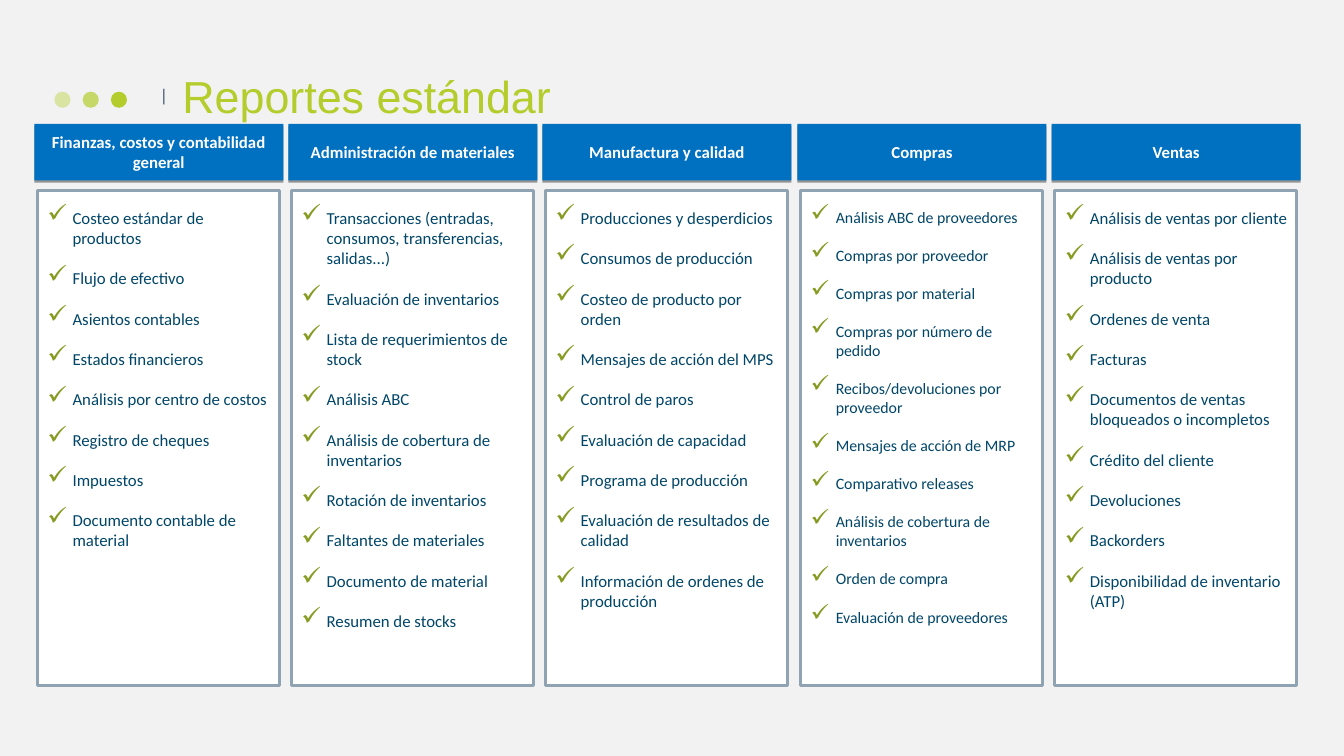
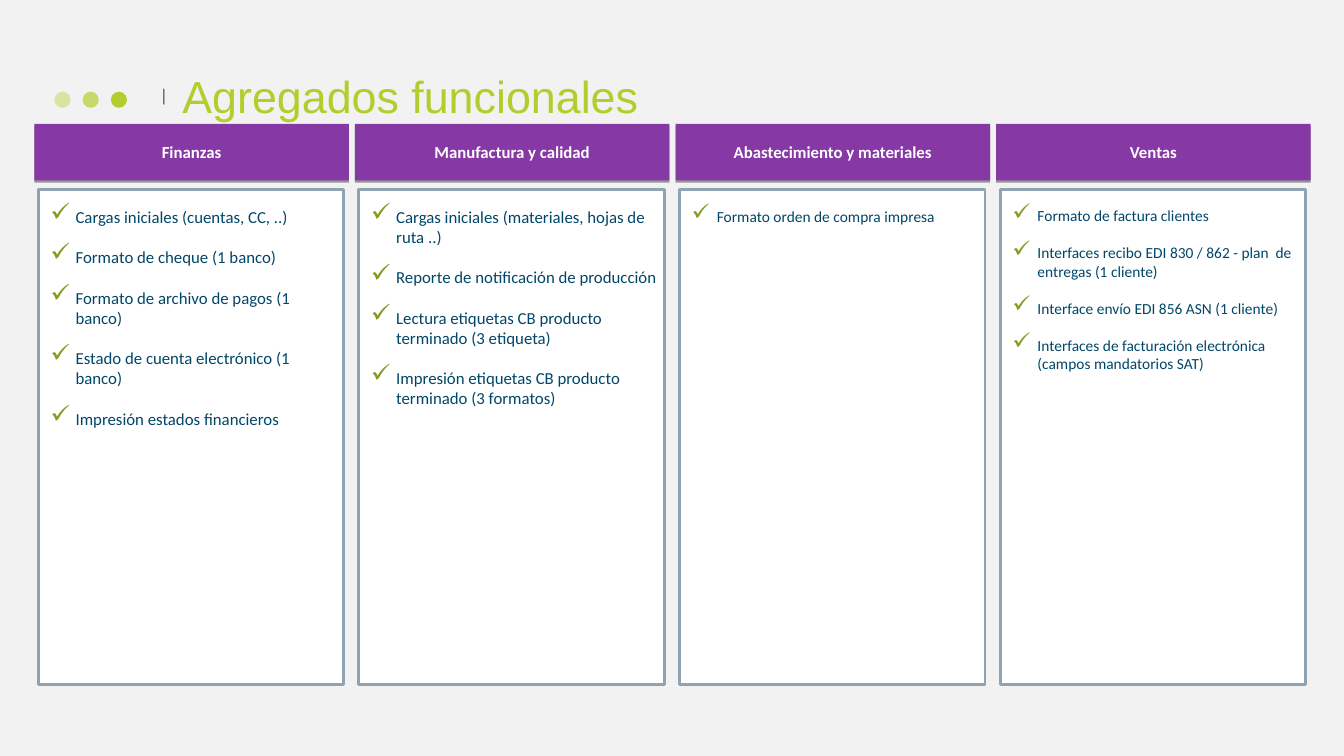
import dataclasses

import lxml.etree
import pptx
import pptx.dml.color
import pptx.enum.shapes
import pptx.enum.text
import pptx.oxml.ns
import pptx.util

ALIGN = pptx.enum.text.PP_ALIGN
ANCHOR = pptx.enum.text.MSO_ANCHOR
FIT = pptx.enum.text.MSO_AUTO_SIZE
SHAPE = pptx.enum.shapes.MSO_SHAPE
PX = 9144  # 100 px to the inch


@dataclasses.dataclass(frozen=True)
class Theme:
    back: str = "F2F2F2"
    lime: str = "B4CD2C"
    olive: str = "879A21"
    slate: str = "506576"
    edge: str = "8FA3B3"
    navy: str = "004669"
    white: str = "FFFFFF"
    blue: str = "0070C0"
    purple: str = "8639A5"
    head: str = "Arial"
    body: str = "Calibri"
    mark: str = "Roboto"
    title: float = 32
    bar: float = 13.3
    text: float = 12
    small: float = 11.3
    tiny: float = 11


THEME = Theme()


@dataclasses.dataclass(frozen=True)
class Column:
    title: str
    size: float
    height: int
    items: tuple


@dataclasses.dataclass(frozen=True)
class Page:
    """One slide: its columns, and the measures of their grid in px."""
    title: str
    color: str
    right: int
    width: int
    panel: int
    list: int
    top: int
    columns: tuple


REPORTS = Page("Reportes estándar", THEME.blue, 1290, 247, 240, 230, 189, (
    Column("Finanzas, costos y contabilidad general", THEME.text, 343, (
        "Costeo estándar de productos",
        "Flujo de efectivo",
        "Asientos contables",
        "Estados financieros",
        "Análisis por centro de costos",
        "Registro de cheques",
        "Impuestos",
        "Documento contable de material")),
    Column("Administración de materiales", THEME.text, 444, (
        "Transacciones (entradas, consumos, transferencias, salidas...)",
        "Evaluación de inventarios",
        "Lista de requerimientos de stock",
        "Análisis ABC",
        "Análisis de cobertura de inventarios",
        "Rotación de inventarios",
        "Faltantes de materiales",
        "Documento de material",
        "Resumen de stocks")),
    Column("Manufactura y calidad", THEME.text, 404, (
        "Producciones y desperdicios",
        "Consumos de producción",
        "Costeo de producto por orden",
        "Mensajes de acción del MPS",
        "Control de paros",
        "Evaluación de capacidad",
        "Programa de producción",
        "Evaluación de resultados de calidad",
        "Información de ordenes de producción")),
    Column("Compras", THEME.small, 419, (
        "Análisis ABC de proveedores",
        "Compras por proveedor",
        "Compras por material",
        "Compras por número de pedido",
        "Recibos/devoluciones por proveedor",
        "Mensajes de acción de MRP",
        "Comparativo releases",
        "Análisis de cobertura de inventarios",
        "Orden de compra",
        "Evaluación de proveedores")),
    Column("Ventas", THEME.text, 404, (
        "Análisis de ventas por cliente",
        "Análisis de ventas por producto",
        "Ordenes de venta",
        "Facturas",
        "Documentos de ventas bloqueados o incompletos",
        "Crédito del cliente",
        "Devoluciones",
        "Backorders",
        "Disponibilidad de inventario (ATP)")),
))

EXTRAS = Page("Agregados funcionales", THEME.purple, 1300, 312, 303, 290, 188, (
    Column("Finanzas", THEME.text, 222, (
        "Cargas iniciales (cuentas, CC, ..)",
        "Formato de cheque (1 banco)",
        "Formato de archivo de pagos (1 banco)",
        "Estado de cuenta electrónico (1 banco)",
        "Impresión estados financieros")),
    Column("Manufactura y calidad", THEME.text, 222, (
        "Cargas iniciales (materiales, hojas de ruta ..)",
        "Reporte de notificación de producción",
        "Lectura etiquetas CB producto terminado (3 etiqueta)",
        "Impresión etiquetas CB producto terminado (3 formatos)")),
    Column("Abastecimiento y materiales", THEME.tiny, 19, (
        "Formato orden de compra impresa",)),
    Column("Ventas", THEME.tiny, 167, (
        "Formato de factura clientes",
        "Interfaces recibo EDI 830 / 862 - plan  de entregas (1 cliente)",
        "Interface envío EDI 856 ASN (1 cliente)",
        "Interfaces de facturación electrónica (campos mandatorios SAT)")),
))


def rgb(color):
    return pptx.dml.color.RGBColor.from_string(color)


def node(parent, tag, **attrs):
    """Append a drawing element such as a:buChar and return it."""
    item = lxml.etree.SubElement(parent, pptx.oxml.ns.qn(tag))
    for key, value in attrs.items():
        item.set(key, str(value))
    return item


def style(frame, font, size, color, bold=False):
    for para in frame.paragraphs:
        for run in para.runs:
            run.font.name = font
            run.font.size = pptx.util.Pt(size)
            run.font.bold = bold
            run.font.color.rgb = rgb(color)


def inset(frame, left, top, right, bottom):
    frame.margin_left, frame.margin_top = left * PX, top * PX
    frame.margin_right, frame.margin_bottom = right * PX, bottom * PX


def add_form(slide, kind, box, fill):
    form = slide.shapes.add_shape(kind, *(n * PX for n in box))
    form.shadow.inherit = False
    form.fill.solid()
    form.fill.fore_color.rgb = rgb(fill)
    form.line.fill.background()
    return form


def add_text(slide, box, text):
    frame = slide.shapes.add_textbox(*(n * PX for n in box)).text_frame
    frame.word_wrap = True
    frame.text = text
    return frame


def add_dot(slide, left, alpha):
    dot = add_form(slide, SHAPE.OVAL, (left, 91, 16, 16), THEME.lime)
    if alpha < 100:
        color = dot.fill._xPr.find(".//" + pptx.oxml.ns.qn("a:srgbClr"))
        node(color, "a:alpha", val=alpha * 1000)


def add_title(slide, text):
    """Draw the three dots, the bar and the slide title."""
    for i, alpha in enumerate((40, 70, 100)):
        add_dot(slide, 54 + 28 * i, alpha)
    bar = add_text(slide, (156, 88, 13, 16), "|")
    inset(bar, 0, 5, 0, 0)
    bar.paragraphs[0].line_spacing = 0.5
    bar.paragraphs[0].alignment = ALIGN.CENTER
    style(bar, THEME.mark, THEME.bar, THEME.slate)
    title = add_text(slide, (171, 33, 1049, 93), text)
    title.vertical_anchor = ANCHOR.BOTTOM
    style(title, THEME.head, THEME.title, THEME.lime)


def add_head(slide, box, text, fill):
    head = add_form(slide, SHAPE.RECTANGLE, box, fill)
    props = head._element.spPr
    effects = props.find(pptx.oxml.ns.qn("a:effectLst"))
    shade = node(effects, "a:outerShdw", blurRad=0, dist=pptx.util.Pt(1.6),
                 dir=5400000, rotWithShape=0)
    node(node(shade, "a:srgbClr", val="000000"), "a:alpha", val=38000)
    frame = head.text_frame
    frame.word_wrap = True
    frame.text = text
    frame.vertical_anchor = ANCHOR.MIDDLE
    inset(frame, 0, 0, 0, 1)
    frame.paragraphs[0].alignment = ALIGN.CENTER
    style(frame, THEME.body, THEME.text, THEME.white, True)


def add_panel(slide, box):
    panel = add_form(slide, SHAPE.RECTANGLE, box, THEME.white)
    panel.line.color.rgb = rgb(THEME.edge)
    panel.line.width = pptx.util.Pt(2)


def add_list(slide, box, items, size):
    """Write a check list with one line's height between items."""
    frame = add_text(slide, box, "\n".join(items))
    frame.auto_size = FIT.SHAPE_TO_FIT_TEXT
    inset(frame, 5, 0, 1, 0)
    for i, para in enumerate(frame.paragraphs):
        props = para._p.get_or_add_pPr()
        props.set("marL", str(25 * PX))
        props.set("indent", str(-25 * PX))
        node(node(props, "a:buClr"), "a:srgbClr", val=THEME.olive)
        node(props, "a:buSzPct", val=150000)
        node(props, "a:buChar", char="✓")
        if i:
            para.space_before = pptx.util.Pt(round(1.2 * size, 1))
    style(frame, THEME.body, size, THEME.navy)


def add_page(deck, page):
    slide = deck.slides.add_slide(deck.slide_layouts[6])
    add_title(slide, page.title)
    left, width = 34, page.width
    pitch = (page.right - left - width) / (len(page.columns) - 1)
    for i, col in enumerate(page.columns):
        x = left + round(i * pitch)
        side = x + (width - page.panel) // 2
        start = x + (width - page.list) // 2
        add_panel(slide, (side, page.top, page.panel, 491))
        add_head(slide, (x, 123, width, 56), col.title, page.color)
        add_list(slide, (start, page.top + 17, page.list, col.height),
                 col.items, col.size)


def main():
    deck = pptx.Presentation()
    deck.slide_width, deck.slide_height = 1333 * PX, 750 * PX
    back = deck.slide_master.background.fill
    back.solid()
    back.fore_color.rgb = rgb(THEME.back)
    for page in (REPORTS, EXTRAS):
        add_page(deck, page)
    deck.save("out.pptx")


if __name__ == "__main__":
    main()
